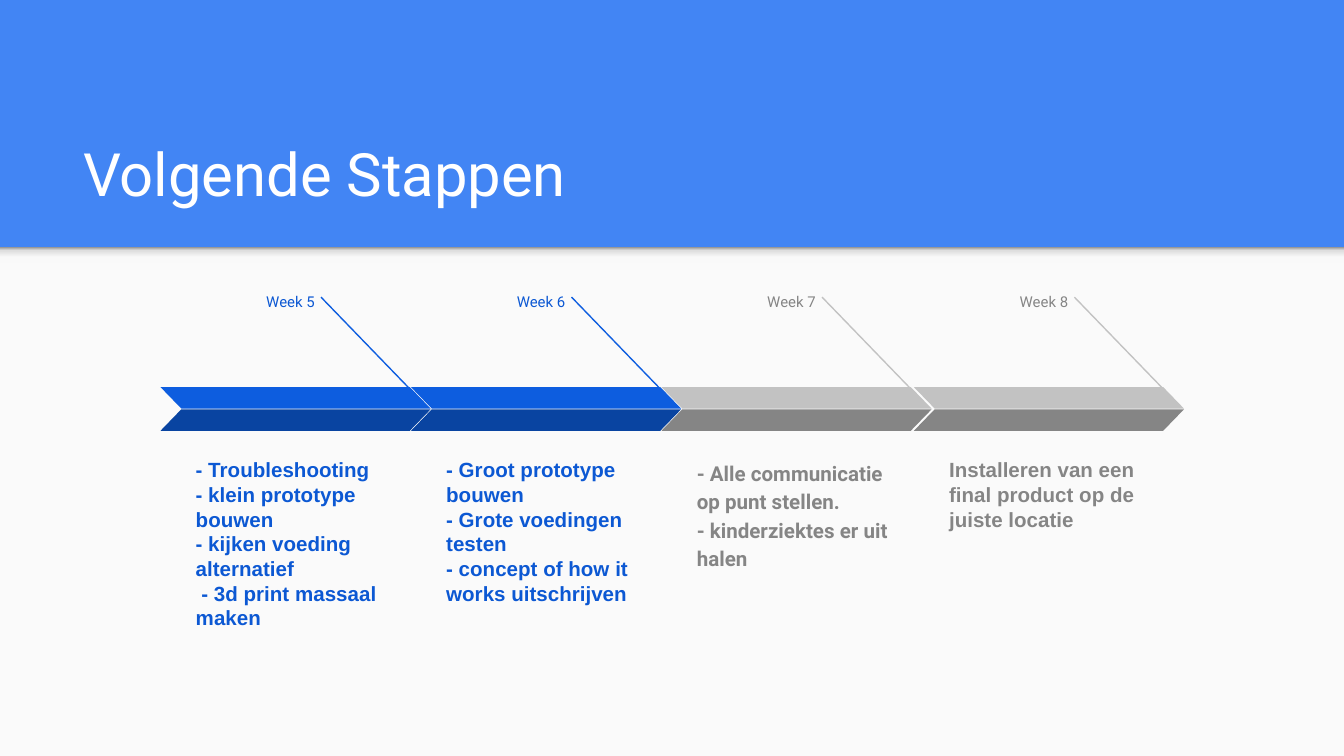
import copy

import pptx
import pptx.dml.color
import pptx.enum.shapes
import pptx.enum.text
import pptx.oxml.ns
import pptx.util

Pt = pptx.util.Pt
RGBColor = pptx.dml.color.RGBColor
SHAPE = pptx.enum.shapes.MSO_SHAPE
ALIGN = pptx.enum.text.PP_ALIGN
ANCHOR = pptx.enum.text.MSO_ANCHOR
qn = pptx.oxml.ns.qn

HEADER_BLUE = RGBColor(0x42, 0x85, 0xF4)
WHITE = RGBColor(0xFF, 0xFF, 0xFF)
PAPER = RGBColor(0xFA, 0xFA, 0xFA)
TEXT_BLUE = RGBColor(0x0C, 0x58, 0xD3)
BLUE = RGBColor(0x0D, 0x5D, 0xDF)
DARK_BLUE = RGBColor(0x09, 0x44, 0xA1)
SILVER = RGBColor(0xC2, 0xC2, 0xC2)
GREY = RGBColor(0x85, 0x85, 0x85)
SHADOW_STOPS = [
    (0, RGBColor(0xF9, 0xF9, 0xF9)),
    (0.36, RGBColor(0xF9, 0xF9, 0xF9)),
    (0.8, RGBColor(0xDE, 0xDE, 0xDE)),
    (1, RGBColor(0x99, 0x99, 0x99)),
]

ACTIVE = {"text": TEXT_BLUE, "upper": BLUE, "lower": DARK_BLUE}
LATER = {"text": GREY, "upper": SILVER, "lower": GREY}
WEEKS = [
    (86, "Week 5", ACTIVE, "Arial", None,
     ["- Troubleshooting", "- klein prototype bouwen",
      "- kijken voeding alternatief", " - 3d print massaal maken"]),
    (220.2, "Week 6", ACTIVE, "Arial", None,
     ["- Groot prototype bouwen", "- Grote voedingen testen",
      "- concept of how it works uitschrijven"]),
    (354.4, "Week 7", LATER, "Roboto", 1.15,
     ["- Alle communicatie op punt stellen.", "- kinderziektes er uit halen"]),
    (489.6, "Week 8", LATER, "Arial", None,
     ["Installeren van een final product op de juiste locatie"]),
]


def add_text(s, box, lines, font, color, anchor=ANCHOR.TOP, **paragraph):
    """Add a wrapped text box with one paragraph per line."""
    tf = s.shapes.add_textbox(*map(Pt, box)).text_frame
    frame = {"word_wrap": True, "vertical_anchor": anchor}
    frame.update(dict.fromkeys(
        ("margin_left", "margin_right", "margin_top", "margin_bottom"), Pt(7.2)))
    for name, value in frame.items():
        setattr(tf, name, value)
    for i, line in enumerate(lines):
        p = tf.add_paragraph() if i else tf.paragraphs[0]
        for name, value in paragraph.items():
            setattr(p, name, value)
        r = p.add_run()
        r.text = line
        for name, value in font.items():
            setattr(r.font, name, value)
        r.font.color.rgb = color


def add_block(s, kind, box, color):
    """Add a flat shape without outline or shadow."""
    sp = s.shapes.add_shape(kind, *map(Pt, box))
    sp.shadow.inherit = False
    sp.fill.solid()
    sp.fill.fore_color.rgb = color
    sp.line.fill.background()
    return sp


def add_page(s, left, top, width, height):
    """Place the light page with the header's shadow along its top edge."""
    add_block(s, SHAPE.RECTANGLE, (left, top, width, height), PAPER)
    shadow = add_block(s, SHAPE.RECTANGLE, (left, top, width, 8.6), PAPER)
    shadow.fill.gradient()
    shadow.fill.gradient_angle = 90
    stop_list = next(shadow.element.iter(qn("a:gsLst")))
    for _ in SHADOW_STOPS[2:]:
        stop_list.append(copy.deepcopy(stop_list[0]))
    for stop, (position, color) in zip(shadow.fill.gradient_stops, SHADOW_STOPS):
        stop.position = position
        stop.color.rgb = color


def add_title(s, left, top, width, height):
    """Place the slide title at the bottom of its box."""
    add_text(s, (left, top, width, height), ["Volgende Stappen"],
             {"name": "Roboto", "size": Pt(32)}, WHITE, ANCHOR.BOTTOM)


def add_week(s, left, top, width, label, colors, face, spacing, tasks):
    """Place one week: label, tasks, pointer line and two-part chevron."""
    add_text(s, (left + 40.8, top, 49, 18.7), [label],
             {"name": "Roboto", "size": Pt(8)}, colors["text"],
             alignment=ALIGN.RIGHT, line_spacing=1.15, space_after=Pt(16))
    add_text(s, (left + 11.8, top + 88, 119, 126), tasks,
             {"name": face, "size": Pt(11), "bold": True}, colors["text"],
             line_spacing=spacing)
    pointer = s.shapes.add_connector(
        pptx.enum.shapes.MSO_CONNECTOR.STRAIGHT,
        Pt(left + 86), Pt(top + 9.4), Pt(left + 142.3), Pt(top + 67.6))
    pointer.line.color.rgb = colors["upper"]
    pointer.line.width = Pt(0.75)
    pointer.element.spPr.append(pptx.oxml.parse_xml(
        f"<a:effectLst {pptx.oxml.ns.nsdecls('a')}/>"))
    for part, offset in (("upper", 57.6), ("lower", 69.5)):
        band = add_block(s, SHAPE.PARALLELOGRAM,
                         (left, top + offset, width, 11.5), colors[part])
        band.adjustments[0] = 0.97
        if part == "upper":
            band.element.spPr.find(qn("a:xfrm")).set("flipH", "1")


def main():
    """Build the slide and save it."""
    prs = pptx.Presentation()
    prs.slide_width, prs.slide_height = Pt(720), Pt(405)
    s = prs.slides.add_slide(prs.slide_layouts[6])
    s.background.fill.solid()
    s.background.fill.fore_color.rgb = HEADER_BLUE
    add_page(s, 0, 132.5, 720, 272.5)
    add_title(s, 37.4, 58.3, 647.3, 60.5)
    for left, *week in WEEKS:
        add_week(s, left, 149.8, 144.7, *week)
    prs.save("out.pptx")


if __name__ == "__main__":
    main()
